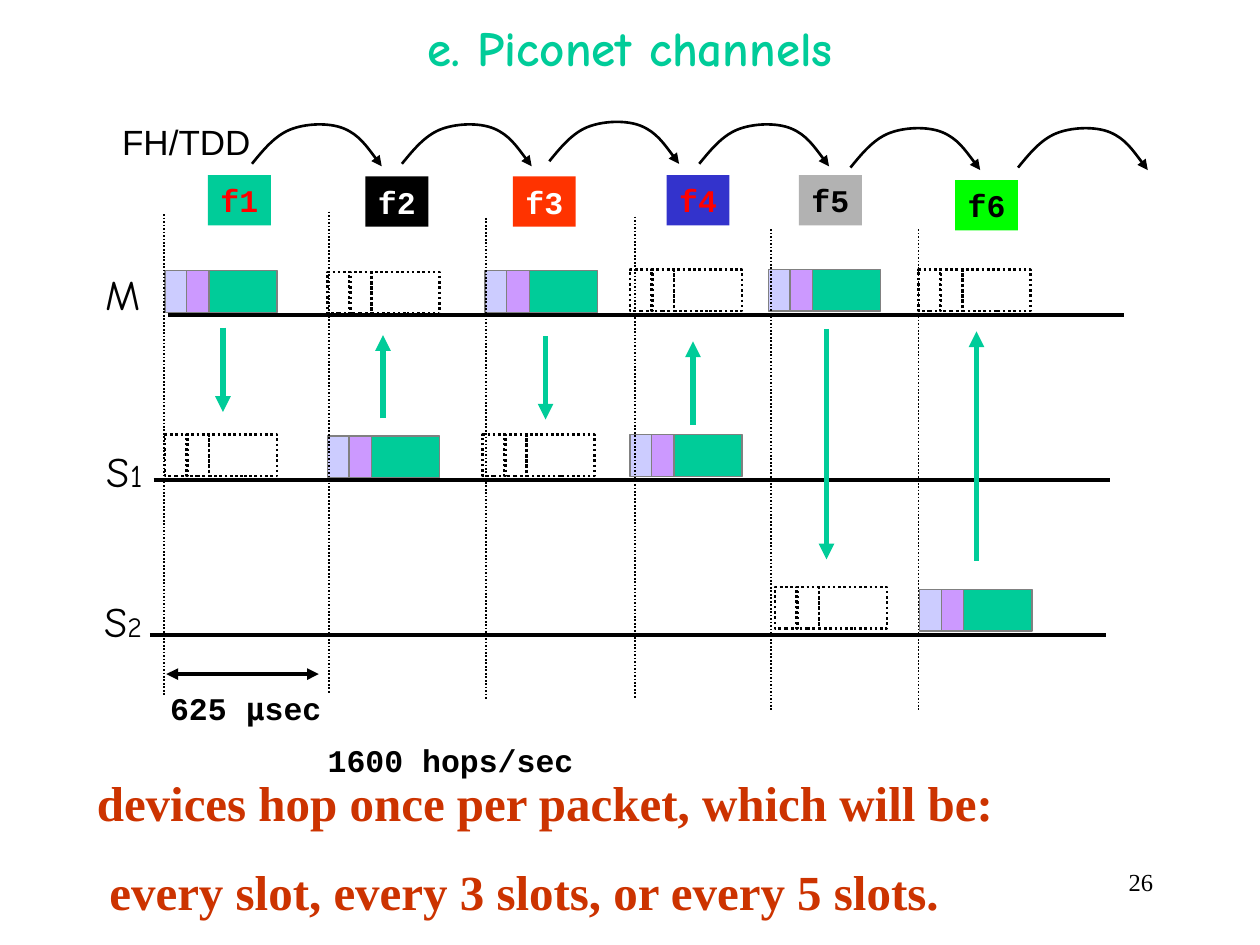
from dataclasses import dataclass

from pptx import Presentation
from pptx import util as u
from pptx.dml.color import RGBColor
from pptx.enum import dml, shapes, text
from pptx.oxml import ns, xmlchemy

BLACK, GREEN, RED = "000000", "00CC99", "FF0000"
MONO, COMIC, SERIF = "Courier New", "Comic Neue", "Times New Roman"
LEFT, MID, RIGHT = text.PP_ALIGN.LEFT, text.PP_ALIGN.CENTER, text.PP_ALIGN.RIGHT


@dataclass
class Slot:
    """One time slot: its frequency tag, hop, packets and transfer arrow."""
    tag: tuple[float, float]
    fill: str
    ink: str
    guide: tuple[float, float]
    master: tuple[float, float]
    slave: tuple[float, float]
    arrow: tuple[float, float, float]
    hop: tuple[float, float]


@dataclass
class Row:
    """One device's timeline and its label."""
    name: str
    digit: str
    size: int
    label: tuple[float, float]
    line: tuple[float, float]


SLOTS = [
    Slot((1.65, 1.39), GREEN, RED, (1.3, 1.7), (1.31, 2.15), (1.31, 3.45),
         (1.77, 2.6, 3.27), (2, 1.3)),
    Slot((2.9, 1.4), BLACK, "FFFFFF", (2.61, 1.68), (2.6, 2.16), (2.6, 3.46),
         (3.04, 2.66, 3.32), (3.19, 1.3)),
    Slot((4.07, 1.4), "FF3300", "FFFFFF", (3.86, 1.73), (3.85, 2.15), (3.83, 3.45),
         (4.33, 2.67, 3.33), (4.36, 1.28)),
    Slot((5.29, 1.39), "3333CC", RED, (5.04, 1.72), (5, 2.14), (5, 3.45),
         (5.5, 2.71, 3.37), (5.55, 1.3)),
    Slot((6.34, 1.39), "B2B2B2", BLACK, (6.12, 1.82), (6.1, 2.14), (6.15, 4.66),
         (6.56, 2.61, 4.44), (6.75, 1.33)),
    Slot((7.58, 1.43), "00FF00", BLACK, (7.29, 1.82), (7.29, 2.14), (7.3, 4.68),
         (7.75, 2.63, 4.45), (8.08, 1.33)),
]
ROWS = [
    Row("M", "", 24, (0.74, 2.08), (1.33, 2.5)),
    Row("S", "1", 18, (0.75, 3.49), (1.22, 3.81)),
    Row("S", "2", 16, (0.73, 4.68), (1.19, 5.04)),
]
# Packet fields as offset, width and fill, from back to front
FIELDS = [(0, 0.18, "CCCCFF"), (0.35, 0.54, GREEN), (0.17, 0.18, "CC99FF")]
# Bezier points of a hop after its start, relative to it, three to a piece
ARC = [
    (0.09, -0.11), (0.18, -0.22), (0.3, -0.27),
    (0.42, -0.32), (0.61, -0.33), (0.73, -0.28),
    (0.85, -0.23), (0.94, -0.1), (1.03, 0.02),
]


def rgb(code: str) -> RGBColor:
    return RGBColor.from_string(code)


def stroke(shape, color: str, width: float, dots=False, ends=()) -> None:
    """Style an outline; ends may hold headEnd and tailEnd, in that order."""
    shape.line.color.rgb = rgb(color)
    shape.line.width = u.Pt(width)
    if dots:
        shape.line.dash_style = dml.MSO_LINE.ROUND_DOT
    line = shape._element.spPr.find(ns.qn("a:ln"))
    for end in ends:
        mark = xmlchemy.OxmlElement(f"a:{end}")
        mark.set("type", "triangle")
        line.append(mark)


def rule(slide, start, stop, color: str, width: float, dots=False, ends=()) -> None:
    """Draw a straight line between two points."""
    line = slide.shapes.add_connector(
        shapes.MSO_CONNECTOR.STRAIGHT, *map(u.Inches, (*start, *stop)))
    stroke(line, color, width, dots, ends)
    line._element.spPr.append(xmlchemy.OxmlElement("a:effectLst"))


def style(font, size: float, face: str, color: str, bold=False) -> None:
    font.size, font.name, font.bold = u.Pt(size), face, bold
    font.color.rgb = rgb(color)


def write(slide, box, words: str, size: float, face: str, color=BLACK,
          bold=False, align=MID, wrap=False, middle=True):
    """Add a text box and return its text frame."""
    frame = slide.shapes.add_textbox(*map(u.Inches, box)).text_frame
    frame.word_wrap = wrap
    frame.vertical_anchor = text.MSO_ANCHOR.MIDDLE if middle else text.MSO_ANCHOR.TOP
    for i, line in enumerate(words.split("\n")):
        para = frame.add_paragraph() if i else frame.paragraphs[0]
        para.add_run().text = line
        para.alignment = align
        style(para.font, size, face, color, bold)
    return frame


def packet(slide, spot, solid: bool) -> None:
    left, top = spot
    group = slide.shapes.add_group_shape()
    for shift, width, fill in FIELDS:
        part = group.shapes.add_shape(
            shapes.MSO_SHAPE.RECTANGLE,
            *map(u.Inches, (left + shift, top, width, 0.33)))
        part.shadow.inherit = False
        if solid:
            part.fill.solid()
            part.fill.fore_color.rgb = rgb(fill)
            stroke(part, "808080", 0.75)
        else:
            part.fill.background()
            stroke(part, BLACK, 1.5, dots=True)


def tag(slide, name: str, slot: Slot) -> None:
    box = slide.shapes.add_shape(
        shapes.MSO_SHAPE.RECTANGLE, *map(u.Inches, (*slot.tag, 0.5, 0.4)))
    box.shadow.inherit = False
    box.fill.solid()
    box.fill.fore_color.rgb = rgb(slot.fill)
    box.line.fill.background()
    frame = box.text_frame
    frame.word_wrap = False
    frame.vertical_anchor = text.MSO_ANCHOR.MIDDLE
    para = frame.paragraphs[0]
    para.add_run().text = name
    para.alignment = MID
    style(para.font, 18, MONO, slot.ink, True)


def bend(shape) -> None:
    """Turn each three line segments of a freeform into one Bezier curve."""
    path = next(shape._element.iter(ns.qn("a:path")))
    lines = path.findall(ns.qn("a:lnTo"))
    for i in range(0, len(lines), 3):
        curve = xmlchemy.OxmlElement("a:cubicBezTo")
        for line in lines[i:i + 3]:
            curve.append(line[0])
            path.remove(line)
        path.append(curve)


def hop(slide, start) -> None:
    """Draw the curved arrow from one frequency to the next."""
    left, top = start
    path = slide.shapes.build_freeform(u.Inches(left), u.Inches(top))
    path.add_line_segments(
        [(u.Inches(left + x), u.Inches(top + y)) for x, y in ARC], close=False)
    arc = path.convert_to_shape()
    bend(arc)
    arc.shadow.inherit = False
    arc.fill.background()
    stroke(arc, BLACK, 1.5, ends=["tailEnd"])


def main() -> None:
    deck = Presentation()
    deck.slide_width, deck.slide_height = u.Inches(10), u.Inches(7.5)
    slide = deck.slides.add_slide(deck.slide_layouts[6])

    write(slide, (7.17, 6.83, 2.08, 0.5), "26", 14, SERIF,
          align=RIGHT, wrap=True, middle=False)
    write(slide, (0.75, 0, 8.5, 0.75), "e. Piconet channels", 28, COMIC, GREEN,
          bold=True, wrap=True)

    for row in ROWS:
        left, top = row.line
        rule(slide, row.line, (left + 7.59, top), BLACK, 2.25)
        frame = write(slide, (*row.label, 0.5, 0.5), row.name, 24, COMIC,
                      align=LEFT, middle=False)
        if row.digit:
            run = frame.paragraphs[0].add_run()
            run.text = row.digit
            run.font.size = u.Pt(row.size)

    for i, slot in enumerate(SLOTS):
        down = i % 2 == 0
        packet(slide, slot.master, solid=down)
        packet(slide, slot.slave, solid=not down)
        left, top = slot.guide
        rule(slide, slot.guide, (left, top + 3.83), BLACK, 1, dots=True)
        x, high, low = slot.arrow
        start, stop = (high, low) if down else (low, high)
        rule(slide, (x, start), (x, stop), GREEN, 3, ends=["tailEnd"])
        tag(slide, f"f{i + 1}", slot)
        hop(slide, slot.hop)

    write(slide, (0.78, 0.9, 1.4, 0.44), "FH/TDD", 20, "Arial", wrap=True)
    rule(slide, (1.32, 5.35), (2.53, 5.35), BLACK, 2.25, ends=["headEnd", "tailEnd"])
    span = write(slide, (1.25, 5.42, 1.4, 0.4), "625 ", 18, MONO, bold=True)
    for part, face in (("μ", "DejaVu Sans Mono"), ("sec", MONO)):
        run = span.paragraphs[0].add_run()
        run.text, run.font.name = part, face
    write(slide, (2.5, 5.83, 2.15, 0.4), "1600 hops/sec", 18, MONO, bold=True)

    note = write(slide, (0.67, 6.08, 7.92, 1.28),
                 "devices hop once per packet, which will be:\n"
                 "every slot, every 3 slots, or every 5 slots.",
                 28, SERIF, "CC3300", bold=True, align=LEFT, wrap=True, middle=False)
    last = note.paragraphs[1]
    last.space_before = u.Pt(17.5)
    last._p.get_or_add_pPr().set("marL", str(u.Inches(0.1)))
    deck.save("out.pptx")


if __name__ == "__main__":
    main()
